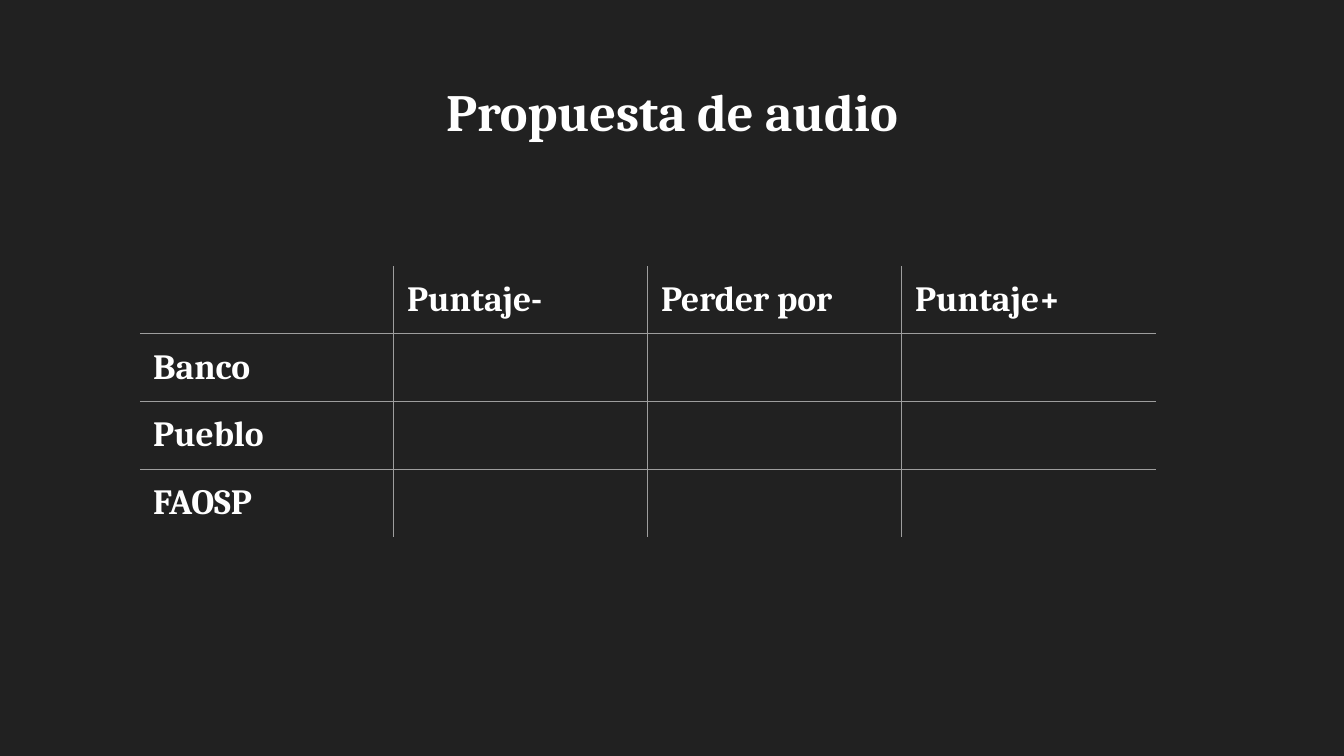
from lxml import etree
from pptx import Presentation
from pptx.dml.color import RGBColor
from pptx.enum.text import MSO_ANCHOR, PP_ALIGN
from pptx.oxml.ns import qn
from pptx.util import Inches, Pt

TOP = MSO_ANCHOR.TOP
CENTER = PP_ALIGN.CENTER
FONT = "Cambria"
DARK, WHITE, GRAY = "212121", "FFFFFF", "9E9E9E"
PAD = Inches(0.1)


def color(code):
    return RGBColor.from_string(code)


def write(par, text, size):
    run = par.add_run()
    run.text = text
    run.font.name = FONT
    run.font.size = Pt(size)
    run.font.bold = True
    run.font.color.rgb = color(WHITE)


# Wide 16:9 slide
deck = Presentation()
deck.slide_width, deck.slide_height = Inches(10), Inches(10 * 9 / 16)
slide = deck.slides.add_slide(deck.slide_layouts[5])
slide.background.fill.solid()
slide.background.fill.fore_color.rgb = color(DARK)

# Title
title = slide.shapes.title
title.left, title.top = Inches(0.8), Inches(0.49)
title.width, title.height = Inches(8.4), Inches(0.63)
frame = title.text_frame
frame.margin_left = frame.margin_right = PAD
frame.margin_top = frame.margin_bottom = PAD
frame.vertical_anchor = TOP
frame.paragraphs[0].alignment = CENTER
write(frame.paragraphs[0], "Propuesta de audio", 28)

# Score table
heads = ["", "Puntaje-", "Perder por", "Puntaje+"]
names = ["Banco", "Pueblo", "FAOSP"]
rows = [heads] + [[name, "", "", ""] for name in names]
count, wide = len(rows), len(heads)
table = slide.shapes.add_table(count, wide, Inches(1.04), Inches(1.98),
                               Inches(1.89 * wide), Inches(0.42 * count)).table
table.first_row = False
table.horz_banding = False

for r, row in enumerate(rows):
    for c, text in enumerate(row):
        cell = table.cell(r, c)
        cell.margin_left = cell.margin_right = PAD
        cell.margin_top = cell.margin_bottom = PAD
        cell.vertical_anchor = TOP
        par = cell.text_frame.paragraphs[0]
        if text:
            write(par, text, 19)
        else:
            # Small type keeps blank cells from stretching the row
            etree.SubElement(par._p, qn("a:endParaRPr"), sz="1400")

        # Only the inner grid lines show
        inner = {"a:lnL": c > 0, "a:lnR": c < wide - 1,
                 "a:lnT": r > 0, "a:lnB": r < count - 1}
        props = cell._tc.get_or_add_tcPr()
        for tag, shown in inner.items():
            line = etree.SubElement(props, qn(tag), w=str(Pt(0.75)))
            if shown:
                fill = etree.SubElement(line, qn("a:solidFill"))
                etree.SubElement(fill, qn("a:srgbClr"), val=GRAY)
            else:
                etree.SubElement(line, qn("a:noFill"))
        cell.fill.background()

deck.save("out.pptx")
